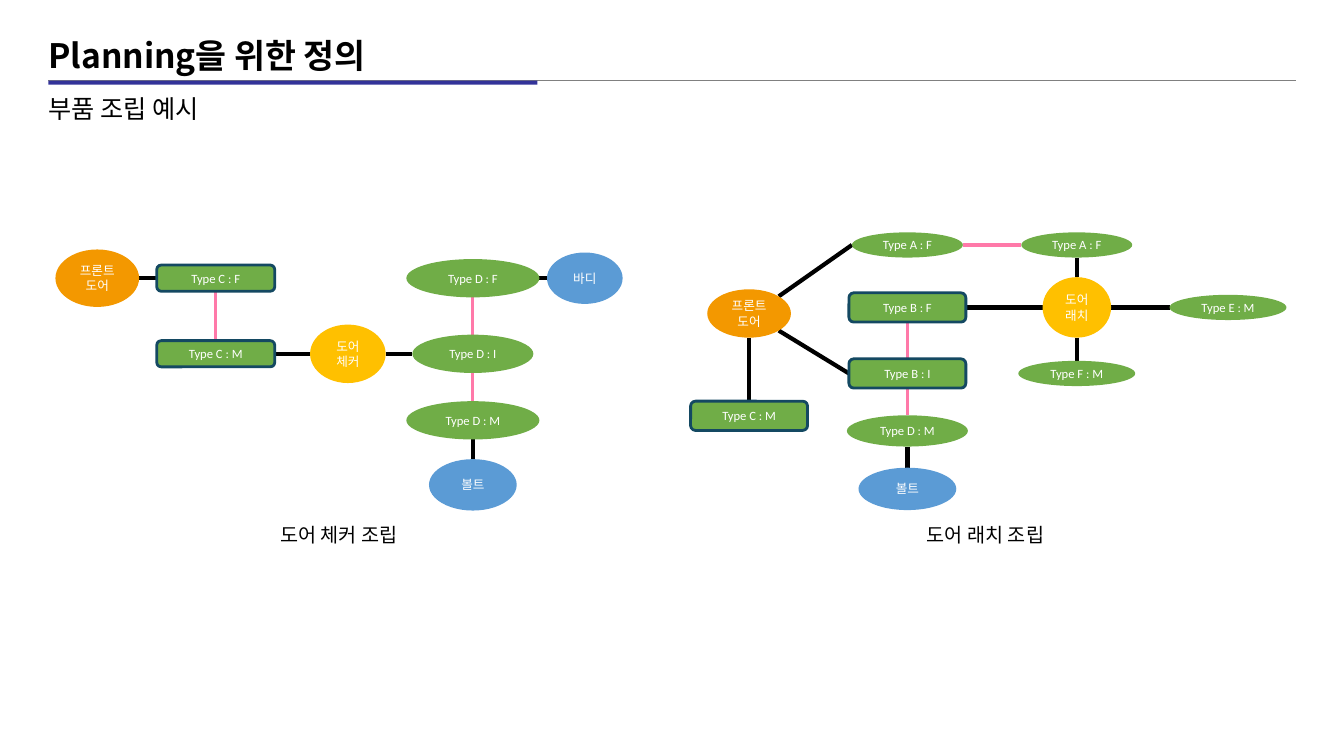
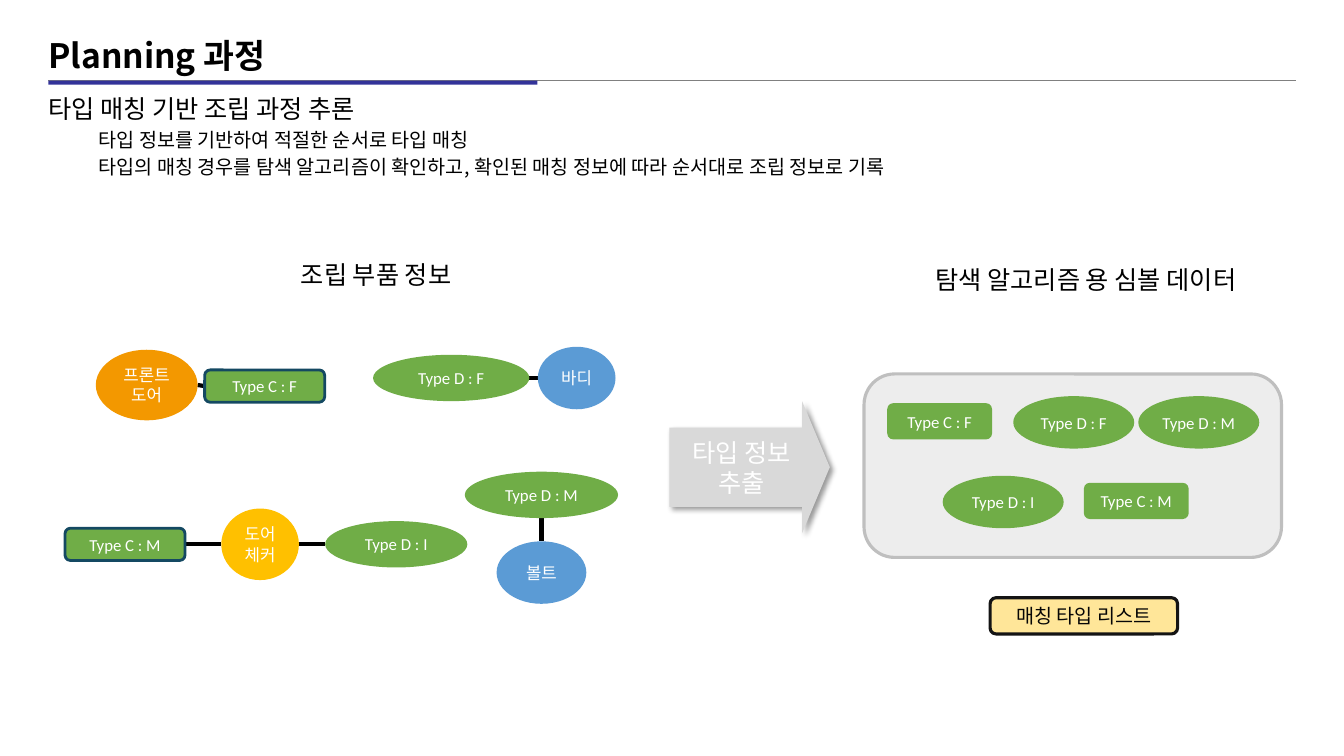
from pptx import Presentation
from pptx.dml.color import RGBColor
from pptx.enum.shapes import MSO_CONNECTOR as Connector, MSO_SHAPE as Preset
from pptx.enum.text import MSO_ANCHOR as Anchor, PP_ALIGN as Align
from pptx.oxml import parse_xml
from pptx.oxml.ns import nsdecls, qn
from pptx.util import Inches, Pt

COLORS = {
    "black": "000000", "white": "FFFFFF", "rule": "808080", "band": "333399",
    "door": "F39800", "core": "FFC000", "part": "5B9BD5", "type": "70AD47",
    "edge": "144962", "match": "FF79A9", "panel": "EDEDED", "panel edge": "BFBFBF",
    "list": "FFE699", "list edge": "141414", "list text": "060606", "arrow": "D9D9D9",
}
LATIN, KOREAN = "Calibri", "Noto Sans CJK KR"

deck = Presentation()
deck.slide_width, deck.slide_height = Inches(13.33), Inches(7.5)
# The slide is a grid of 133.3 columns by 75 rows
COL, ROW = deck.slide_width / 133.3, deck.slide_height / 75

# Look of each kind of node: preset, fill, outline colour, outline width
LOOKS = {
    "door": (Preset.OVAL, "door", None, 0),
    "core": (Preset.OVAL, "core", None, 0),
    "part": (Preset.OVAL, "part", None, 0),
    "type": (Preset.OVAL, "type", None, 0),
    "slot": (Preset.ROUNDED_RECTANGLE, "type", "edge", 2),
    "symbol": (Preset.ROUNDED_RECTANGLE, "type", None, 0),
    "panel": (Preset.ROUNDED_RECTANGLE, "panel", "panel edge", 2.25),
    "list": (Preset.ROUNDED_RECTANGLE, "list", "list edge", 2.25),
    "arrow": (Preset.RIGHT_ARROW, "arrow", None, 0),
    "band": (Preset.RECTANGLE, "band", None, 0),
}
# Points on a node's outline, as shares of its size from the centre
SIDES = {"top": (0, -0.5), "bottom": (0, 0.5), "left": (-0.5, 0), "right": (0.5, 0),
         "upper right": (0.354, -0.354), "lower right": (0.354, 0.354)}
# Colour and width of the links
LINKS = {"joint": ("black", 3), "match": ("match", 2.25), "rule": ("rule", 1)}


def place(slide, kind, cx, cy, w, h):
    """Add a node, or a text box when kind is None, centred on a grid point."""
    box = [round(v) for v in ((cx - w / 2) * COL, (cy - h / 2) * ROW, w * COL, h * ROW)]
    if kind is None:
        holder = slide.shapes.add_textbox(*box)
    else:
        preset, fill, edge, width = LOOKS[kind]
        holder = slide.shapes.add_shape(preset, *box)
        holder.shadow.inherit = False
        holder.fill.solid()
        holder.fill.fore_color.rgb = RGBColor.from_string(COLORS[fill])
        if edge:
            holder.line.color.rgb = RGBColor.from_string(COLORS[edge])
            holder.line.width = Pt(width)
        else:
            holder.line.fill.background()
        holder.text_frame.vertical_anchor = Anchor.MIDDLE
    holder.text_frame.word_wrap = True
    return holder


def write(holder, lines, size, color="white", font=LATIN, bold=False, align=Align.CENTER):
    """Write one paragraph per line and return the paragraphs."""
    frame = holder.text_frame
    for number, line in enumerate(lines):
        paragraph = frame.add_paragraph() if number else frame.paragraphs[0]
        paragraph.alignment = align
        run = paragraph.add_run()
        run.text = line
        run.font.size, run.font.bold, run.font.name = Pt(size), bold, font
        run.font.color.rgb = RGBColor.from_string(COLORS[color])
        east_asian = run.font._element.makeelement(qn("a:ea"), {"typeface": KOREAN})
        run.font._element.find(qn("a:latin")).addnext(east_asian)
    return frame.paragraphs


# Rows and columns that line the diagrams up
checker_x, checker_top, checker_mid = 46.9, 27.6, 35.1
front_x, type_x, latch_x, latch_y, lower_y = 74.3, 90, 106.8, 30.5, 37.05
body_y, chain_y, bolt_x = 37.5, 54, 53.7

# Nodes: kind, text, centre column and row, width, height
# Links: node, side, node, side, kind
SLIDES = [
    {
        "title": "Planning을 위한 정의",
        "lead": ["부품 조립 예시"],
        "size": 9,
        "nodes": {
            # Door checker
            "front": ("door", "프론트 도어", 9.65, checker_top, 8.3, 5.7),
            "C:F": ("slot", "Type C : F", 21.4, checker_top, 11.7, 2.6),
            "C:M": ("slot", "Type C : M", 21.4, checker_mid, 11.7, 2.6),
            "checker": ("core", "도어\n체커", 34.5, checker_mid, 7.5, 5.8),
            "D:F": ("type", "Type D : F", checker_x, checker_top, 13.2, 3.8),
            "D:I": ("type", "Type D : I", checker_x, checker_mid, 12, 3.8),
            "D:M": ("type", "Type D : M", checker_x, 41.7, 13.2, 3.8),
            "body": ("part", "바디", 58, checker_top, 7.5, 5.1),
            "bolt": ("part", "볼트", checker_x, 48.1, 8.7, 5.1),
            # Door latch
            "latch front": ("door", "프론트 도어", front_x, 31.1, 8.3, 4.8),
            "latch C:M": ("slot", "Type C : M", front_x, 41.25, 11.6, 2.9),
            "A:F": ("type", "Type A : F", type_x, 24.3, 11, 2.5),
            "B:F": ("slot", "Type B : F", type_x, latch_y, 11.6, 2.9),
            "B:I": ("slot", "Type B : I", type_x, lower_y, 11.6, 2.9),
            "latch D:M": ("type", "Type D : M", type_x, 42.75, 12, 3.1),
            "latch bolt": ("part", "볼트", type_x, 48.5, 9.7, 4.2),
            "latch": ("core", "도어 래치", latch_x, latch_y, 6.8, 6),
            "latch A:F": ("type", "Type A : F", latch_x, 24.3, 11, 2.5),
            "E:M": ("type", "Type E : M", 121.8, latch_y, 11.6, 2.5),
            "F:M": ("type", "Type F : M", latch_x, lower_y, 11.6, 2.5),
        },
        "links": [
            ("front", "right", "C:F", "left", "joint"),
            ("C:F", "bottom", "C:M", "top", "match"),
            ("C:M", "right", "checker", "left", "joint"),
            ("checker", "right", "D:I", "left", "joint"),
            ("D:F", "bottom", "D:I", "top", "match"),
            ("D:I", "bottom", "D:M", "top", "match"),
            ("D:F", "right", "body", "left", "joint"),
            ("D:M", "bottom", "bolt", "top", "joint"),
            ("latch front", "upper right", "A:F", "left", "joint"),
            ("latch front", "lower right", "B:I", "left", "joint"),
            ("latch front", "bottom", "latch C:M", "top", "joint"),
            ("A:F", "right", "latch A:F", "left", "match"),
            ("B:F", "bottom", "B:I", "top", "match"),
            ("B:I", "bottom", "latch D:M", "top", "match"),
            ("latch D:M", "bottom", "latch bolt", "top", "joint"),
            ("B:F", "right", "latch", "left", "joint"),
            ("latch A:F", "bottom", "latch", "top", "joint"),
            ("latch", "right", "E:M", "left", "joint"),
            ("latch", "bottom", "F:M", "top", "joint"),
        ],
        "captions": [("도어 체커 조립", 33.6, 53.4, 36.8, 14),
                     ("도어 래치 조립", 97.75, 53.4, 39.9, 14)],
    },
    {
        "title": "Planning 과정",
        "lead": ["타입 매칭 기반 조립 과정 추론",
                 "타입 정보를 기반하여 적절한 순서로 타입 매칭",
                 "타입의 매칭 경우를 탐색 알고리즘이 확인하고, 확인된 매칭 정보에 따라 순서대로 조립 정보로 기록"],
        "size": 12,
        "nodes": {
            "front": ("door", "프론트 도어", 14.55, 38.2, 10.1, 7),
            "C:F": ("slot", "Type C : F", 26.25, 38.3, 11.9, 3.2),
            "D:F": ("type", "Type D : F", 44.75, body_y, 15.5, 4.6),
            "body": ("part", "바디", 57.2, body_y, 7.7, 6.2),
            "C:M": ("slot", "Type C : M", 12.4, chain_y, 11.9, 3.2),
            "checker": ("core", "도어\n체커", 25.8, chain_y, 7.7, 7.1),
            "D:I": ("type", "Type D : I", 39.3, chain_y, 14.1, 4.6),
            "D:M": ("type", "Type D : M", bolt_x, 49.1, 15.2, 4.6),
            "bolt": ("part", "볼트", bolt_x, 56.8, 8.9, 6.2),
        },
        "links": [
            ("front", "right", "C:F", "left", "joint"),
            ("D:F", "right", "body", "left", "joint"),
            ("C:M", "right", "checker", "left", "joint"),
            ("checker", "right", "D:I", "left", "joint"),
            ("D:M", "bottom", "bolt", "top", "joint"),
        ],
        "captions": [("조립 부품 정보", 37.3, 27.2, 25.8, 18),
                     ("탐색 알고리즘 용 심볼 데이터", 107.7, 27.7, 39.4, 18)],
    },
]

for content in SLIDES:
    slide = deck.slides.add_slide(deck.slide_layouts[6])
    nodes = content["nodes"]

    # Lines: the header rule, then the links between nodes
    lines = [(4.8, 8, 128.5, 8, "rule")]
    for start, start_side, end, end_side, kind in content["links"]:
        ends = []
        for node, side in ((start, start_side), (end, end_side)):
            _, _, cx, cy, w, h = nodes[node]
            dx, dy = SIDES[side]
            ends += [cx + dx * w, cy + dy * h]
        lines.append((*ends, kind))
    for x1, y1, x2, y2, kind in lines:
        color, width = LINKS[kind]
        link = slide.shapes.add_connector(
            Connector.STRAIGHT, round(x1 * COL), round(y1 * ROW), round(x2 * COL), round(y2 * ROW))
        link.line.color.rgb = RGBColor.from_string(COLORS[color])
        link.line.width = Pt(width)
        link._element.spPr.append(parse_xml(f"<a:effectLst {nsdecls('a')}/>"))

    # Header: band, title and lead text
    place(slide, "band", 29.05, 8.2, 48.5, 0.4)
    write(place(slide, None, 37.15, 5.9, 66.7, 5.8), [content["title"]], 24, "black",
          KOREAN, bold=True, align=Align.LEFT)
    lead = place(slide, None, 66.1, 13.6, 124.6, 13.2)
    for level, paragraph in enumerate(write(lead, content["lead"], 14, "black", KOREAN,
                                            align=Align.LEFT)):
        if level:
            paragraph.space_before = Pt(2.8)
            paragraph._p.get_or_add_pPr().set("marL", str(Inches(0.5)))
        else:
            paragraph.space_before, paragraph.line_spacing = Pt(3.6), 1.6
            paragraph.runs[0].font.size = Pt(18)

    # Nodes and captions
    for kind, text, *spot in nodes.values():
        write(place(slide, kind, *spot), text.split("\n"), content["size"])
    for text, cx, cy, w, size in content["captions"]:
        write(place(slide, None, cx, cy, w, 4), [text], size, "black")

# Symbol panel on the last slide
place(slide, "panel", 106.4, 46.2, 41.4, 18.2)
for kind, text, cx, cy, w, h in [
    ("symbol", "Type C : F", 93.2, 41.8, 10.4, 3.6),
    ("type", "Type D : F", 106.5, 41.9, 12, 5.2),
    ("type", "Type D : M", 118.9, 41.9, 12, 5.2),
    ("type", "Type D : I", 99.5, 49.8, 12, 5.2),
    ("symbol", "Type C : M", 112.7, 49.7, 10.4, 3.6),
]:
    symbol = place(slide, kind, cx, cy, w, h)
    frame = symbol.text_frame
    frame.margin_left = frame.margin_right = frame.margin_top = frame.margin_bottom = 0
    write(symbol, [text], 12)
write(place(slide, "list", 107.5, 61.1, 18.6, 3.6), ["매칭 타입 리스트"], 14, "list text")

# Extraction arrow with its shadow
extraction = place(slide, "arrow", 74.35, 46.35, 15.9, 13.1)
extraction.adjustments[0], extraction.adjustments[1] = 0.6, 0.21
write(extraction, ["타입 정보 추출"], 18)
extraction._element.spPr.find(qn("a:effectLst")).append(parse_xml(
    f'<a:outerShdw {nsdecls("a")} blurRad="{Pt(4)}" dist="{Pt(3)}" dir="2700000">'
    '<a:srgbClr val="000000"><a:alpha val="40000"/></a:srgbClr></a:outerShdw>'))

deck.save("out.pptx")
